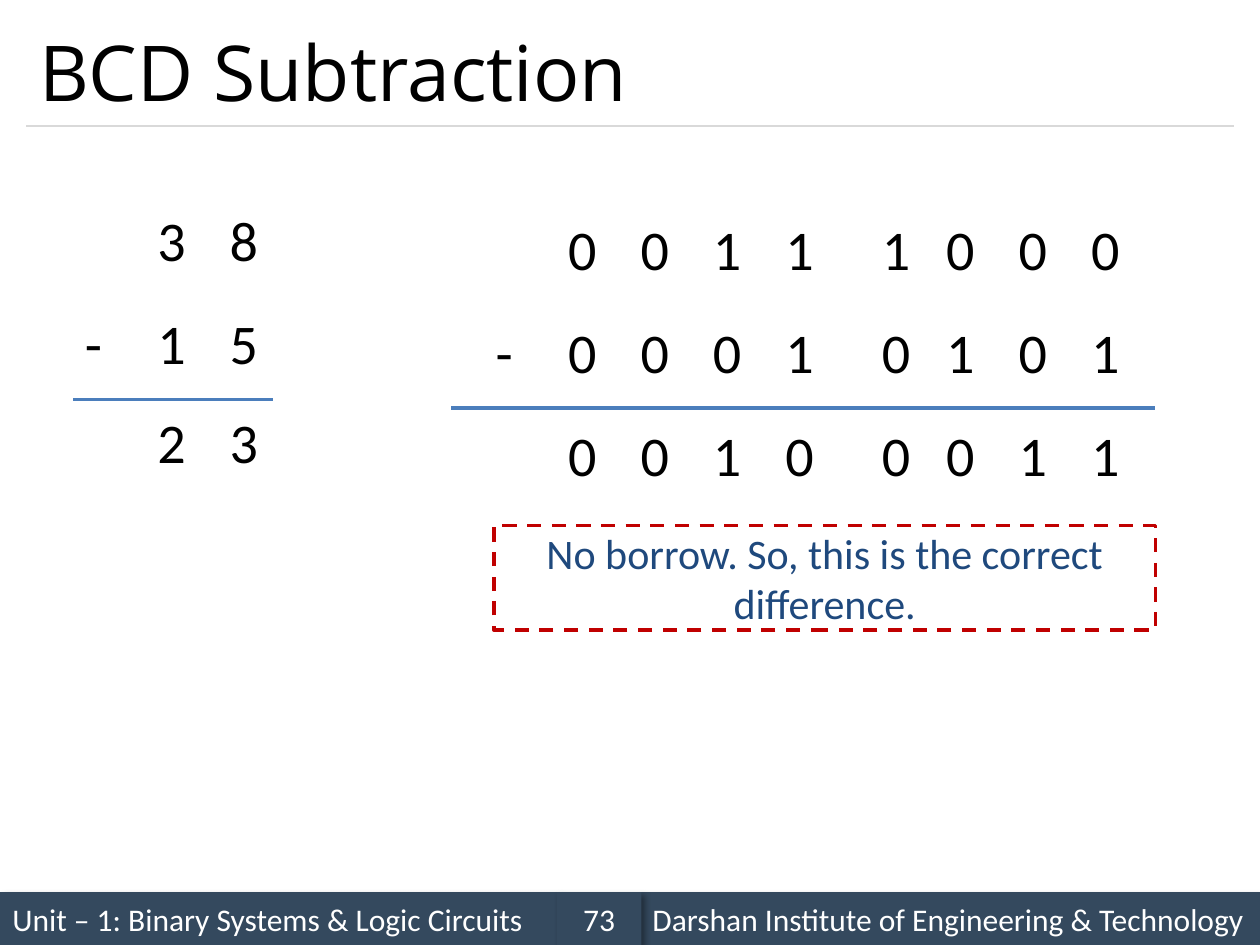
from dataclasses import dataclass

from lxml import etree
from pptx import Presentation
from pptx.dml.color import RGBColor
from pptx.enum.dml import MSO_LINE
from pptx.enum.shapes import MSO_CONNECTOR, MSO_SHAPE
from pptx.enum.text import MSO_ANCHOR, MSO_AUTO_SIZE, PP_ALIGN
from pptx.oxml.ns import qn
from pptx.util import Inches, Pt

LEFT, CENTER = PP_ALIGN.LEFT, PP_ALIGN.CENTER
TOP, MIDDLE = MSO_ANCHOR.TOP, MSO_ANCHOR.MIDDLE
GROW, FIXED = MSO_AUTO_SIZE.SHAPE_TO_FIT_TEXT, MSO_AUTO_SIZE.NONE
RECT, STRAIGHT, DASH = MSO_SHAPE.RECTANGLE, MSO_CONNECTOR.STRAIGHT, MSO_LINE.DASH


@dataclass(frozen=True)
class Theme:
    ink: str = "000000"
    white: str = "FFFFFF"
    bar: str = "34495E"
    grey: str = "D9D9D9"
    blue: str = "4B7EBC"
    red: str = "C00000"
    navy: str = "1F497D"
    head: str = "Open Sans"
    body: str = "Calibri"
    title: int = 44
    digit: int = 32
    note: int = 24
    foot: int = 18


@dataclass(frozen=True)
class Sum:
    """A worked subtraction: digit columns, sign column, rows, rule."""
    top: float
    cols: tuple
    sign: float
    steps: tuple
    rows: tuple
    rule: tuple


@dataclass(frozen=True)
class Bar:
    text: str
    left: float
    width: float
    align: PP_ALIGN = LEFT


THEME = Theme()
WIDE, HIGH = 10, 7.5
COL, ROW = 0.575, 0.82      # pitch of the digit grid
CELL, DASHED, TALL = 0.43, 0.34, 0.64

SUMS = (
    Sum(1.65, (7.67, 8.67, 9.67, 10.67, 12, 12.89, 13.89, 14.89), 6.67,
        (0, 1, 2), ("00111000", "00010101", "00100011"), (3.58, 9.17, 3.24)),
    Sum(1.58, (2, 3), 1, (0, 1, 1.96), ("38", "15", "23"), (0.58, 2.17, 3.17)),
)
BARS = (
    Bar("Unit – 1: Binary Systems & Logic Circuits", 0, 0.442),
    Bar("Darshan Institute of Engineering & Technology", 0.508, 0.492),
    Bar("73", 0.442, 0.067, CENTER),
)


def tint(code: str) -> RGBColor:
    return RGBColor.from_string(code)


def write(shape, text: str, *, size: int, color: str = THEME.ink,
          font: str = THEME.body, align=LEFT, anchor=MIDDLE,
          wrap: bool = True, fit=FIXED) -> None:
    frame = shape.text_frame
    frame.word_wrap, frame.auto_size = wrap, fit
    frame.vertical_anchor = anchor
    para = frame.paragraphs[0]
    para.alignment = align
    run = para.add_run()
    run.text = text
    run.font.size, run.font.name = Pt(size), font
    run.font.color.rgb = tint(color)


def place(shape, *box: float) -> None:
    shape.left, shape.top, shape.width, shape.height = map(Inches, box)


def rule(slide, start: float, end: float, y: float, color: str, width: float) -> None:
    line = slide.shapes.add_connector(
        STRAIGHT, Inches(start), Inches(y), Inches(end), Inches(y))
    line.line.color.rgb, line.line.width = tint(color), Pt(width)
    etree.SubElement(line._element.spPr, qn("a:effectLst"))


def shade(shape) -> None:
    effects = shape._element.spPr.find(qn("a:effectLst"))
    cast = etree.SubElement(effects, qn("a:outerShdw"), blurRad=str(Pt(4)),
                            dist=str(Pt(3)), dir="2700000", algn="tl", rotWithShape="0")
    color = etree.SubElement(cast, qn("a:srgbClr"), val=THEME.ink)
    etree.SubElement(color, qn("a:alpha"), val="40000")


def panel(slide, *box: float):
    shape = slide.shapes.add_shape(RECT, *map(Inches, box))
    shape.shadow.inherit = False
    return shape


def footer(slide, bar: Bar) -> None:
    shape = panel(slide, bar.left * WIDE, 7.08, bar.width * WIDE, 0.42)
    shape.fill.solid()
    shape.fill.fore_color.rgb = tint(THEME.bar)
    shape.line.fill.background()
    shade(shape)
    write(shape, bar.text, size=THEME.foot, color=THEME.white, align=bar.align)


def glyph(slide, text: str, col: float, y: float, width: float) -> None:
    box = slide.shapes.add_textbox(*map(Inches, (col * COL, y, width, TALL)))
    write(box, text, size=THEME.digit, anchor=TOP, wrap=False, fit=GROW)


def work(slide, item: Sum) -> None:
    for step, digits in zip(item.steps, item.rows):
        for col, digit in zip(item.cols, digits):
            glyph(slide, digit, col, item.top + step * ROW, CELL)
    glyph(slide, "-", item.sign, item.top + ROW, DASHED)
    rule(slide, *item.rule, THEME.blue, 2)


def main() -> None:
    deck = Presentation()
    deck.slide_width, deck.slide_height = Inches(WIDE), Inches(HIGH)
    slide = deck.slides.add_slide(deck.slide_layouts[5])

    # Footer and title
    for bar in BARS:
        footer(slide, bar)
    rule(slide, 0.21, 9.79, 1, THEME.grey, 0.75)
    title = slide.shapes.title
    place(title, 0.21, 0.12, 9.58, 0.88)
    write(title, "BCD Subtraction", size=THEME.title, font=THEME.head)

    # Binary and decimal subtractions
    for item in SUMS:
        work(slide, item)

    # Conclusion
    note = panel(slide, 3.92, 4.17, 5.25, 0.83)
    note.fill.background()
    note.line.color.rgb, note.line.width = tint(THEME.red), Pt(2)
    note.line.dash_style = DASH
    write(note, "No borrow. So, this is the correct difference.",
          size=THEME.note, color=THEME.navy, align=CENTER)

    deck.save("out.pptx")


if __name__ == "__main__":
    main()
